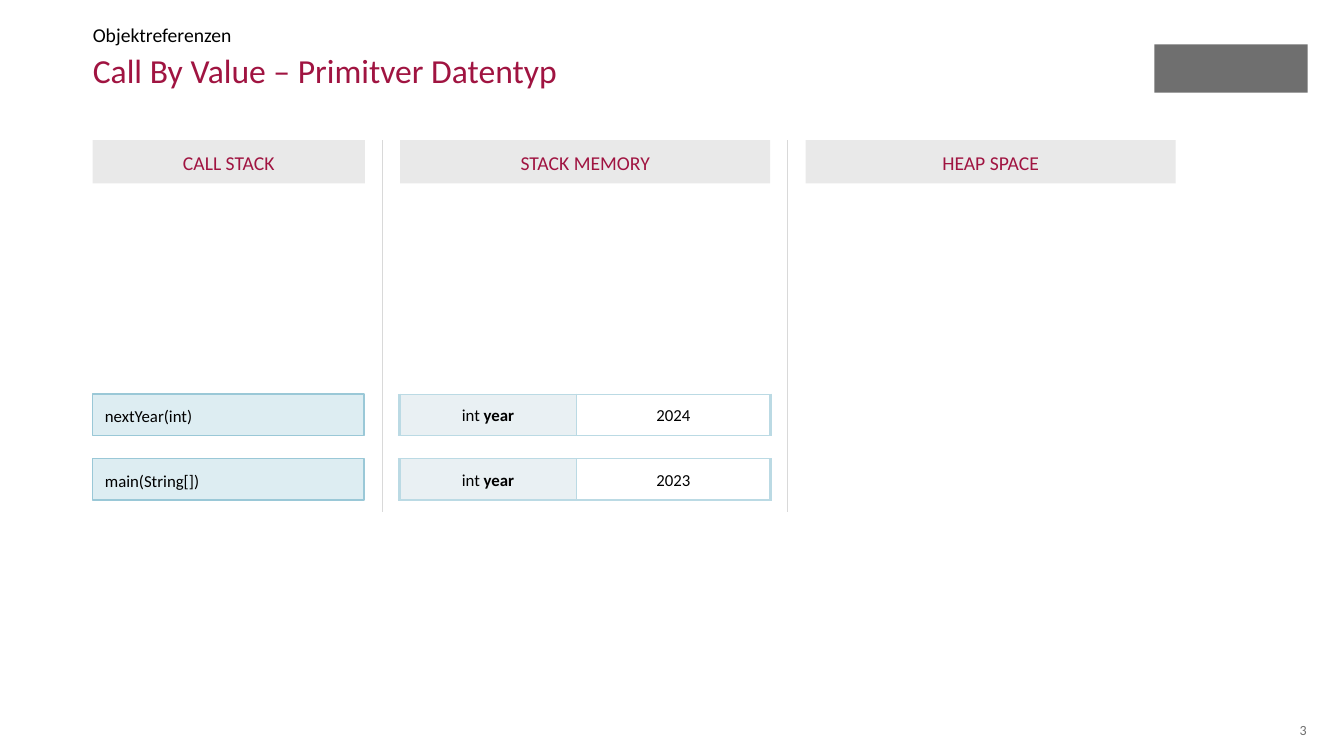
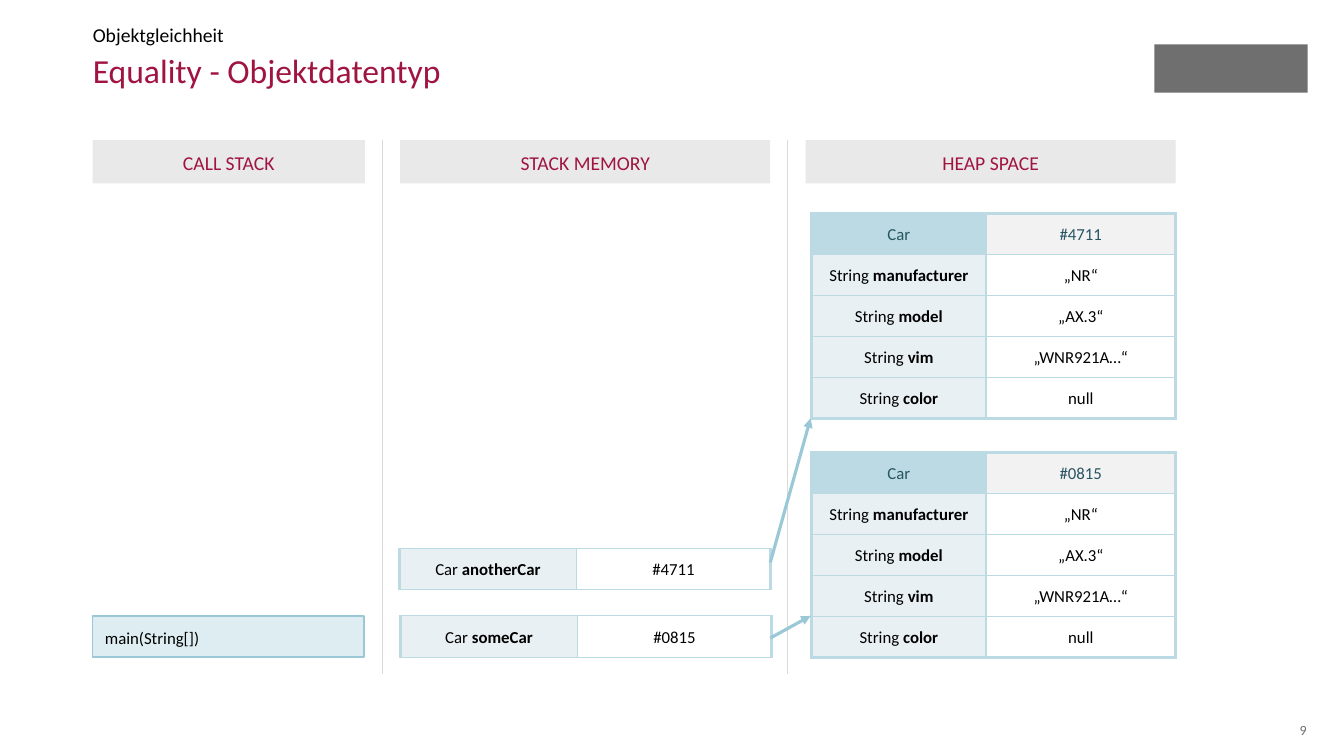
"""Build two slides that show call stack, stack memory and heap space."""
from lxml.etree import SubElement
from pptx import Presentation
from pptx.dml.color import RGBColor
from pptx.enum.shapes import MSO_CONNECTOR, MSO_SHAPE
from pptx.enum.text import MSO_ANCHOR, MSO_AUTO_SIZE, PP_ALIGN
from pptx.oxml import parse_xml
from pptx.oxml.ns import nsdecls, qn
from pptx.util import Inches, Pt

COLORS = {
    "accent": "A01441", "text": "000000", "muted": "6F6F6F", "band": "E9E9E9",
    "divider": "D9D9D9", "call": "DDEDF2", "outline": "9AC8D7", "border": "BBDAE4",
    "name": "E9F0F3", "value": "FFFFFF", "head_text": "275462", "head_value": "F2F2F2",
}
FONT = "Calibri"
COLUMNS = [("CALL STACK", 0.92, 2.7), ("STACK MEMORY", 3.97, 3.67), ("HEAP SPACE", 7.99, 3.67)]
COLUMN_TOP = 1.39
DIVIDER_GAP = 0.18
ROW_HEIGHT = 0.41
HEAP_ROW_HEIGHT = 0.406
HEAP_LEFT = 8.05
STACK_WIDTHS = (1.76, 1.92)
HEAP_WIDTHS = (1.73, 1.88)
CAR_FIELDS = [
    ("String", "manufacturer", "„NR“"),
    ("String", "model", "„AX.3“"),
    ("String", "vim", "„WNR921A…“"),
    ("String", "color", "null"),
]
SLIDES = [
    {
        "title": "Call By Value – Primitver Datentyp", "topic": "Objektreferenzen",
        "number": "3", "divider_end": 5.08,
        "calls": [("nextYear(int)", 3.91), ("main(String[])", 4.55)],
        "variables": [(3.96, 4.55, ("int", "year", "2023")), (3.96, 3.91, ("int", "year", "2024"))],
        "objects": [], "arrows": [],
    },
    {
        "title": "Equality - Objektdatentyp", "topic": "Objektgleichheit",
        "number": "9", "divider_end": 6.69,
        "calls": [("main(String[])", 6.11)],
        "variables": [(3.97, 6.11, ("Car", "someCar", "#0815")),
                      (3.96, 5.44, ("Car", "anotherCar", "#4711"))],
        "objects": [(2.12, "#4711"), (4.49, "#0815")],
        "arrows": [(7.64, 6.33, 8.04, 6.11), (7.64, 5.58, 8.04, 4.15)],
    },
]


def box(*lengths):
    return [Inches(length) for length in lengths]


def color(name):
    return RGBColor.from_string(COLORS[name])


def write(frame, runs, size=12, ink="text", align=PP_ALIGN.LEFT, spacing=1.1):
    paragraph = frame.paragraphs[0]
    for attribute, value in {"alignment": align, "line_spacing": spacing}.items():
        setattr(paragraph, attribute, value)
    for text, bold in runs:
        run = paragraph.add_run()
        run.text = text
        run.font.color.rgb = color(ink)
        for attribute, value in {"name": FONT, "size": Pt(size), "bold": bold}.items():
            setattr(run.font, attribute, value)
    return paragraph


def format_frame(frame, anchor, side=0, edge=0):
    values = {
        "word_wrap": True, "auto_size": MSO_AUTO_SIZE.NONE, "vertical_anchor": anchor,
        "margin_left": Inches(side), "margin_right": Inches(side),
        "margin_top": Inches(edge), "margin_bottom": Inches(edge),
    }
    for attribute, value in values.items():
        setattr(frame, attribute, value)


def fill_placeholder(placeholder, place, text, anchor, **style):
    for attribute, value in zip(("left", "top", "width", "height"), box(*place)):
        setattr(placeholder, attribute, value)
    format_frame(placeholder.text_frame, anchor)
    paragraph = write(placeholder.text_frame, [(text, False)], **style)
    paragraph.space_before = Pt(0)
    properties = paragraph._p.get_or_add_pPr()
    properties.set("marL", "0")
    properties.set("indent", "0")
    SubElement(properties, qn("a:buNone"))


def add_box(slide, place, fill, outline=None):
    shape = slide.shapes.add_shape(MSO_SHAPE.RECTANGLE, *box(*place))
    shape.shadow.inherit = False
    shape.fill.solid()
    shape.fill.fore_color.rgb = color(fill)
    if outline:
        shape.line.color.rgb = color(outline)
        shape.line.width = Pt(1)
    else:
        shape.line.fill.background()
    return shape


def add_line(slide, ends, ink, width, arrow=False):
    connector = slide.shapes.add_connector(MSO_CONNECTOR.STRAIGHT, *box(*ends))
    connector.line.color.rgb = color(ink)
    connector.line.width = Pt(width)
    if arrow:
        SubElement(connector.line._get_or_add_ln(), qn("a:tailEnd"), type="triangle")
    SubElement(connector._element.spPr, qn("a:effectLst"))


def set_borders(cell, widths):
    properties = cell._tc.get_or_add_tcPr()
    for position, (side, width) in enumerate(zip("LRTB", widths)):
        properties.insert(position, parse_xml(
            f'<a:ln{side} {nsdecls("a")} w="{Pt(width)}"><a:solidFill>'
            f'<a:srgbClr val="{COLORS["border"]}"/></a:solidFill></a:ln{side}>'))


def add_memory_table(slide, left, top, widths, fields, height, address=None):
    rows = [([(kind + " ", False), (name, True)], [(value, False)]) for kind, name, value in fields]
    if address:
        rows.insert(0, ([("Car", False)], [(address, False)]))
    place = box(left, top, sum(widths), height * len(rows))
    table = slide.shapes.add_table(len(rows), 2, *place).table
    table.first_row = table.horz_banding = False
    for column, width in zip(table.columns, widths):
        column.width = Inches(width)
    for row_index, row in enumerate(rows):
        table.rows[row_index].height = Inches(height)
        is_head = bool(address) and row_index == 0
        fills = ("border", "head_value") if is_head else ("name", "value")
        is_last = bool(address) and row_index == len(rows) - 1
        for column_index, runs in enumerate(row):
            cell = table.cell(row_index, column_index)
            cell.vertical_anchor = MSO_ANCHOR.MIDDLE
            cell.fill.solid()
            cell.fill.fore_color.rgb = color(fills[column_index])
            write(cell.text_frame, runs, ink="head_text" if is_head else "text",
                  align=PP_ALIGN.CENTER)
            outer = (column_index == 0, column_index == 1, is_head, is_last)
            set_borders(cell, [2.25 if edge else 1 for edge in outer])


def add_frame(slide, content):
    add_box(slide, (11.45, 0.44, 1.52, 0.48), "muted")
    fill_placeholder(slide.shapes.title, (0.92, 0.54, 10.24, 0.85), content["title"],
                     MSO_ANCHOR.TOP, size=24, ink="accent", spacing=0.9)
    fill_placeholder(slide.placeholders[1], (0.92, 0.22, 8.18, 0.24), content["topic"],
                     MSO_ANCHOR.BOTTOM, size=14)
    number = slide.shapes.add_textbox(*box(12.41, 7.14, 0.55, 0.21)).text_frame
    format_frame(number, MSO_ANCHOR.MIDDLE)
    write(number, [(content["number"], False)], 10, "muted", PP_ALIGN.RIGHT, 1)
    for index, (heading, left, width) in enumerate(COLUMNS):
        frame = add_box(slide, (left, COLUMN_TOP, width, 0.43), "band").text_frame
        format_frame(frame, MSO_ANCHOR.TOP, 0.12, 0.08)
        write(frame, [(heading, False)], 14, "accent", PP_ALIGN.CENTER)
        if index:
            divider = left - DIVIDER_GAP
            add_line(slide, (divider, COLUMN_TOP, divider, content["divider_end"]), "divider", 0.5)


def build_slide(presentation, content):
    slide = presentation.slides.add_slide(presentation.slide_layouts[1])
    add_frame(slide, content)
    for call, top in content["calls"]:
        frame = add_box(slide, (0.92, top, 2.69, ROW_HEIGHT), "call", "outline").text_frame
        format_frame(frame, MSO_ANCHOR.MIDDLE, 0.12, 0.08)
        write(frame, [(call, False)])
    for left, top, variable in content["variables"]:
        add_memory_table(slide, left, top, STACK_WIDTHS, [variable], ROW_HEIGHT)
    for top, address in content["objects"]:
        add_memory_table(slide, HEAP_LEFT, top, HEAP_WIDTHS, CAR_FIELDS, HEAP_ROW_HEIGHT, address)
    for ends in content["arrows"]:
        add_line(slide, ends, "outline", 2.25, arrow=True)


def main():
    presentation = Presentation()
    presentation.slide_width, presentation.slide_height = box(13.33, 7.5)
    for content in SLIDES:
        build_slide(presentation, content)
    presentation.save("out.pptx")


if __name__ == "__main__":
    main()
